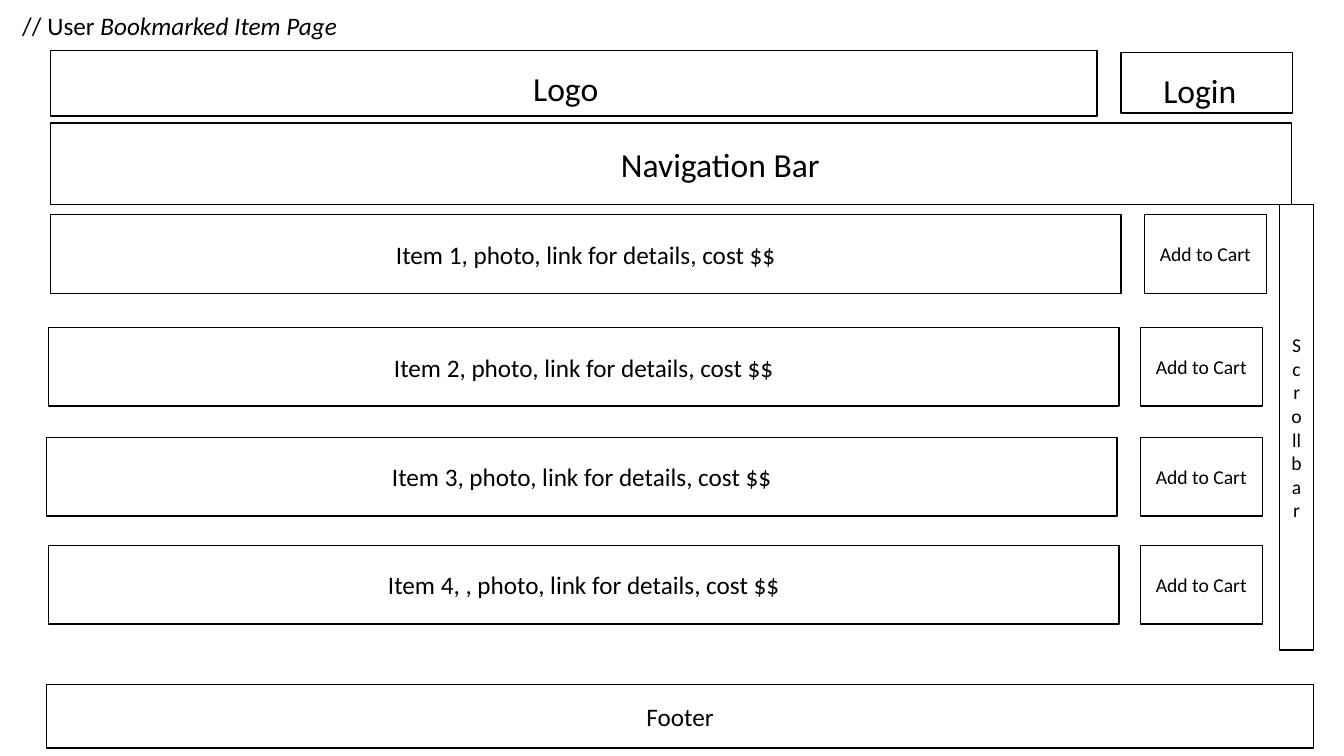
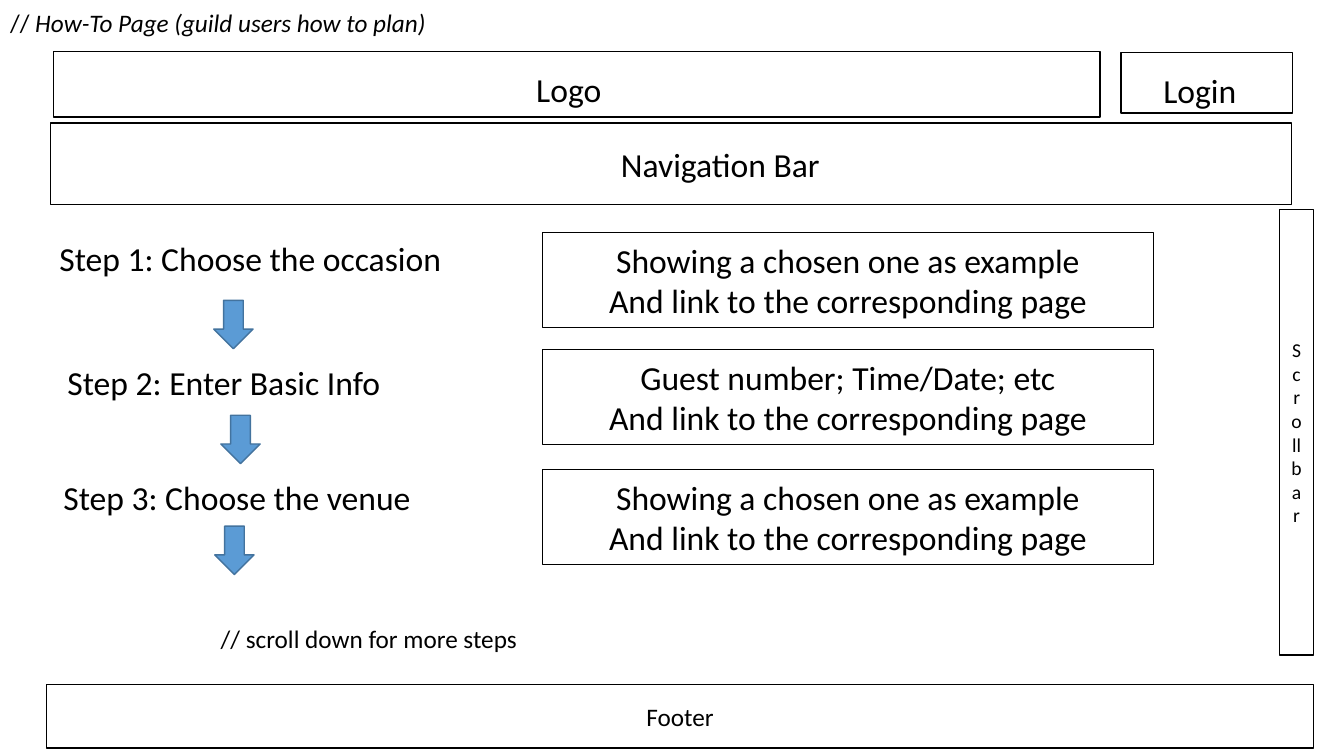
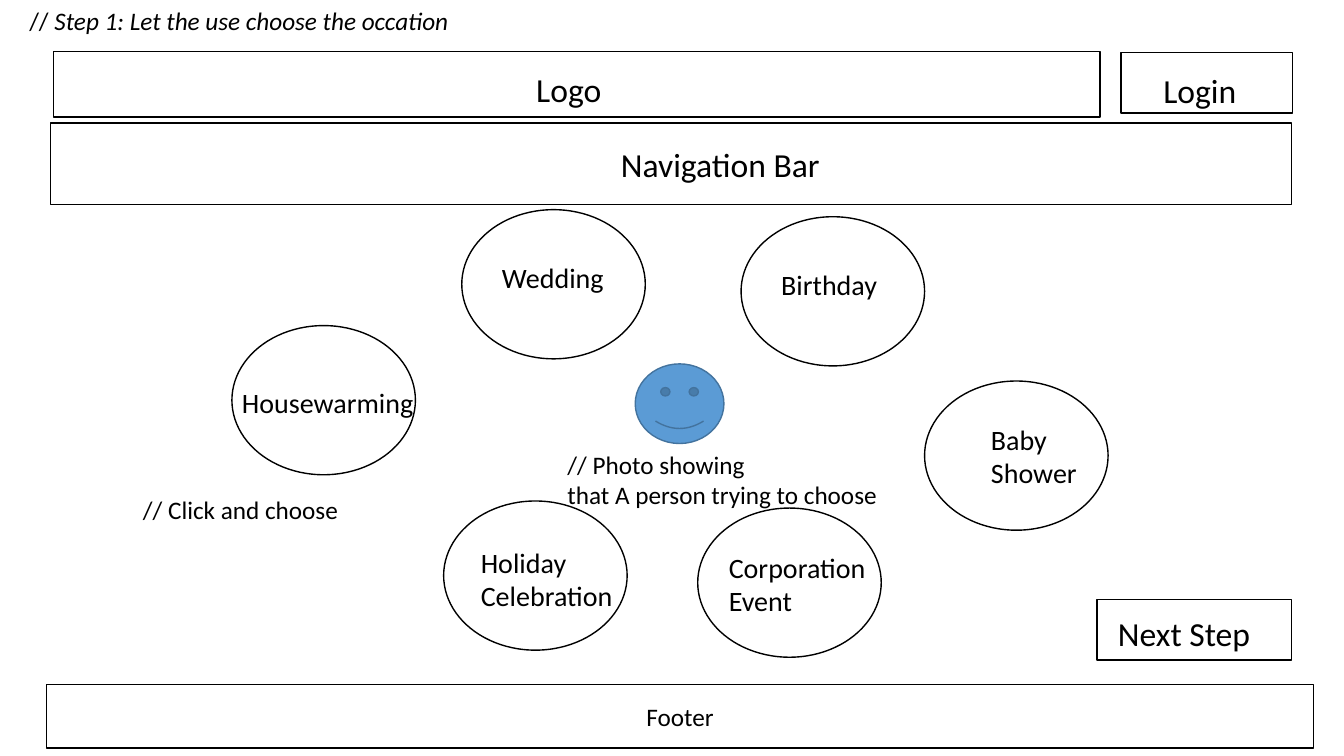
from pptx import Presentation
from pptx.dml.color import RGBColor
from pptx.enum.shapes import MSO_SHAPE
from pptx.enum.text import MSO_ANCHOR, MSO_AUTO_SIZE, PP_ALIGN
from pptx.util import Inches, Pt

RECTANGLE = MSO_SHAPE.RECTANGLE
ELLIPSE = MSO_SHAPE.OVAL
DOWN_ARROW = MSO_SHAPE.DOWN_ARROW
SMILEY = MSO_SHAPE.SMILEY_FACE
TOP, MIDDLE = MSO_ANCHOR.TOP, MSO_ANCHOR.MIDDLE
LEFT, CENTER = PP_ALIGN.LEFT, PP_ALIGN.CENTER
GROW, FIXED = MSO_AUTO_SIZE.SHAPE_TO_FIT_TEXT, MSO_AUTO_SIZE.NONE

FONT = "Calibri"
BLACK = "000000"
BLUE = "5B9BD5"
DARK_BLUE = "43739E"
TITLE_ONLY = 5


def color(value):
    """Turn a hex string into a colour."""
    return RGBColor.from_string(value)


def format_text(frame, size, align):
    """Give all paragraphs and runs of a frame the deck's text style."""
    for para in frame.paragraphs:
        para.alignment = align
        for span in para.runs:
            span.font.name = FONT
            span.font.size = Pt(size)
            span.font.color.rgb = color(BLACK)


def add_title(page, left, top, width, prefix, name):
    """Place the page note: an upright prefix and an italic name."""
    title = page.shapes.title
    title.left, title.top = Inches(left), Inches(top)
    title.width, title.height = Inches(width), Inches(0.4)
    frame = title.text_frame
    frame.word_wrap = True
    frame.auto_size = FIXED
    frame.vertical_anchor = TOP
    frame.text = prefix
    span = frame.paragraphs[0].add_run()
    span.text = name
    span.font.italic = True
    format_text(frame, 18, LEFT)


def add_box(page, left, top, width, height, text="", size=18,
            kind=RECTANGLE, fill=None, line=BLACK):
    """Add an outlined shape with optional centred text."""
    box = page.shapes.add_shape(
        kind, Inches(left), Inches(top), Inches(width), Inches(height))
    box.shadow.inherit = False
    if fill:
        box.fill.solid()
        box.fill.fore_color.rgb = color(fill)
    else:
        box.fill.background()
    box.line.color.rgb = color(line)
    box.line.width = Pt(1)
    if text:
        frame = box.text_frame
        frame.word_wrap = True
        frame.vertical_anchor = MIDDLE
        frame.text = text
        format_text(frame, size, CENTER)


def add_label(page, left, top, width, height, text, size=24, wrap=False):
    """Add a left-aligned text box."""
    label = page.shapes.add_textbox(
        Inches(left), Inches(top), Inches(width), Inches(height))
    frame = label.text_frame
    frame.word_wrap = wrap
    frame.auto_size = GROW
    frame.text = text
    format_text(frame, size, LEFT)


def add_scroll_bar(page, top):
    """Add the scroll bar at the right edge."""
    add_box(page, 12.69, top, 0.34, 4.42, "Scroll bar", 14)


def add_page(deck, logo_left=0.53, logo_top=0.51):
    """Add a page with the logo, login, navigation and footer frames."""
    page = deck.slides.add_slide(deck.slide_layouts[TITLE_ONLY])
    add_box(page, 0.5, 1.22, 12.31, 0.81)
    add_label(page, 6.06, 1.38, 2.43, 0.5, "Navigation Bar")
    add_box(page, 11.12, 0.52, 1.7, 0.6)
    add_label(page, 11.44, 0.64, 1.14, 0.23, "Login", wrap=True)
    add_box(page, logo_left, logo_top, 10.38, 0.65)
    add_label(page, logo_left + 4.69, logo_top + 0.12, 1, 0.39, "Logo")
    add_box(page, 0.46, 6.79, 12.57, 0.63, "Footer")
    return page


def build_bookmarks(deck):
    """Build the bookmarked items page."""
    page = add_page(deck, 0.5, 0.5)
    add_title(page, 0.12, 0.05, 3.53, "// User ", "Bookmarked Item Page")
    items = [
        ("Item 1", 0.5, 11.35, 2.13),
        ("Item 2", 0.48, 11.31, 3.25),
        ("Item 3", 0.46, 11.31, 4.34),
        ("Item 4, ", 0.48, 11.31, 5.41),
    ]
    for name, left, button_left, top in items:
        add_box(page, left, top, 10.62, 0.78,
                f"{name}, photo, link for details, cost $$")
        add_box(page, button_left, top, 1.21, 0.78, "Add to Cart", 14)
    add_scroll_bar(page, 2.03)


def build_how_to(deck):
    """Build the page that explains the planning steps."""
    page = add_page(deck)
    add_title(page, 0, 0.02, 5.33, "// ",
              "How-To Page (guild users how to plan)")
    example = "Showing a chosen one as example"
    steps = [
        ("Step 1: Choose the occasion", 0.49, 2.31, 4.02, example, 2.31),
        ("Step 2: Enter Basic Info", 0.57, 3.54, 3.45,
         "Guest number; Time/Date; etc", 3.47),
        ("Step 3: Choose the venue", 0.53, 4.68, 3.68, example, 4.66),
    ]
    for step, left, top, width, detail, detail_top in steps:
        add_label(page, left, top, width, 0.5, step)
        add_box(page, 5.38, detail_top, 6.06, 0.94,
                f"{detail}\nAnd link to the corresponding page", 24)
    for left, top in [(2.12, 2.98), (2.19, 4.12), (2.13, 5.22)]:
        add_box(page, left, top, 0.39, 0.48,
                kind=DOWN_ARROW, fill=BLUE, line=DARK_BLUE)
    add_label(page, 2.09, 6.13, 3.18, 0.4, "// scroll down for more steps", 18)
    add_scroll_bar(page, 2.08)


def build_occasions(deck):
    """Build the page where the occasion is chosen."""
    page = add_page(deck)
    add_title(page, 0.19, 0, 5.7, "// ",
              "Step 1: Let the use choose the occation")
    add_label(page, 1.32, 4.85, 2.16, 0.4, "// Click and choose", 18)
    add_label(page, 5.53, 4.41, 3.31, 0.71,
              "// Photo showing\nthat A person trying to choose", 18)
    add_box(page, 6.3, 3.61, 0.88, 0.79,
            kind=SMILEY, fill=BLUE, line=DARK_BLUE)
    occasions = [
        ("Housewarming", 2.3, 3.23, 2.3, 3.78, 1.92, 0.44),
        ("Wedding", 4.58, 2.08, 4.88, 2.54, 1.22, 0.44),
        ("Birthday", 7.35, 2.15, 7.65, 2.6, 1.16, 0.44),
        ("Holiday\nCelebration", 4.4, 4.97, 4.67, 5.36, 1.52, 0.77),
        ("Baby\nShower", 9.17, 3.78, 9.73, 4.14, 1.06, 0.77),
        ("Corporation\nEvent", 6.92, 5.04, 7.13, 5.41, 1.57, 0.77),
    ]
    for name, left, top, *label_place in occasions:
        add_box(page, left, top, 1.82, 1.48, kind=ELLIPSE)
        add_label(page, *label_place, name, 20)
    add_box(page, 10.88, 5.95, 1.93, 0.6)
    add_label(page, 10.99, 6.03, 1.94, 0.5, "Next Step", wrap=True)


def main():
    """Build and save the deck."""
    deck = Presentation()
    deck.slide_width, deck.slide_height = Inches(13.33), Inches(7.5)
    build_bookmarks(deck)
    build_how_to(deck)
    build_occasions(deck)
    deck.save("out.pptx")


main()
